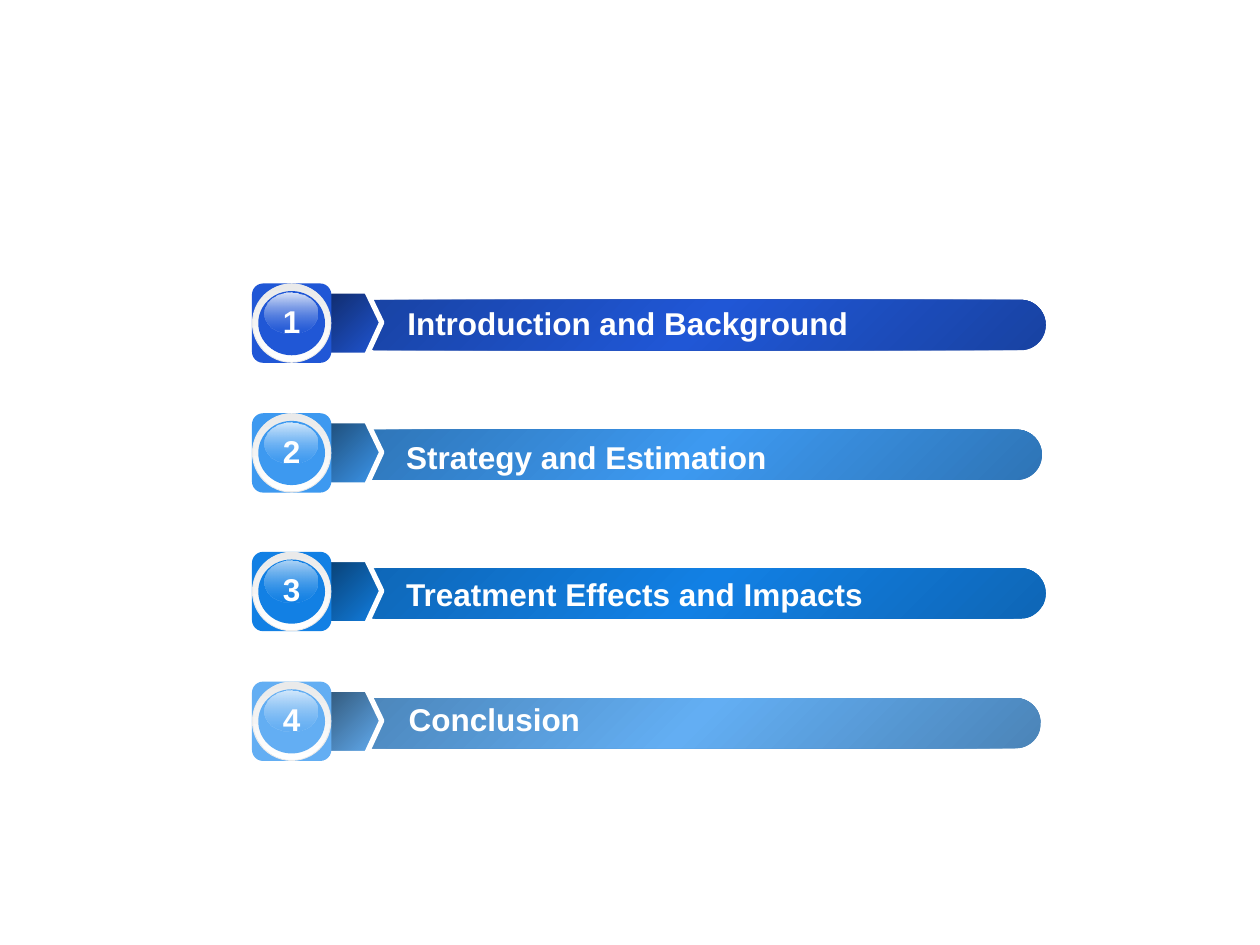
from dataclasses import dataclass

from lxml.etree import SubElement
from pptx import Presentation
from pptx.dml.color import RGBColor
from pptx.enum.shapes import MSO_SHAPE
from pptx.enum.text import MSO_ANCHOR, PP_ALIGN
from pptx.oxml.ns import qn
from pptx.util import Inches, Pt


@dataclass(frozen=True)
class Theme:
    font: str = "Arial"
    size: int = 18
    edge: int = 3
    white: str = "FFFFFF"
    ring: str = "EAEAEA"


@dataclass(frozen=True)
class Tone:
    main: str
    shade: str
    deep: str
    gloss: str


@dataclass(frozen=True)
class Item:
    text: str
    tone: Tone
    top: float      # row of the badge
    bar: float      # column where the bar starts
    label: tuple    # column, row below the badge top, width


ITEMS = [
    Item("Introduction and Background",
         Tone("2057D6", "1842A2", "0F2863", "DFE7F9"), 2.25, 2.79, (3.11, 0.06, 3.54)),
    Item("Strategy and Estimation",
         Tone("3D99F0", "2E74B6", "1C476F", "D8EBFC"), 3.28, 2.76, (3.1, 0.09, 3.06)),
    Item("Treatment Effects and Impacts",
         Tone("1280E4", "0E66B6", "083B6A", "B0D5F6"), 4.38, 2.79, (3.1, 0.08, 3.39)),
    Item("Conclusion",
         Tone("63AEF3", "4B84B8", "2E5170", "D5E9FC"), 5.41, 2.75, (3.12, 0.04, 3.39)),
]


class Deck:
    """Draws on a grid of 10 columns, with rows as tall as columns are wide."""

    def __init__(self, theme):
        self.theme = theme
        self.file = Presentation()
        self.file.slide_width, self.file.slide_height = Inches(10), Inches(7.5)
        self.unit = self.file.slide_width / 10
        self.slide = self.file.slides.add_slide(self.file.slide_layouts[6])

    def grid(self, *cells):
        return [round(cell * self.unit) for cell in cells]

    def blend(self, shape, stops, angle):
        """Fill with a linear gradient; a stop is (percent, colour, opacity)."""
        shape.fill.gradient()
        shape.fill.gradient_angle = 360 - angle
        ramp = shape._element.spPr.find(qn("a:gradFill")).find(qn("a:gsLst"))
        for old in list(ramp):
            ramp.remove(old)
        for place, color, alpha in stops:
            stop = SubElement(ramp, qn("a:gs"), pos=str(place * 1000))
            tint = SubElement(stop, qn("a:srgbClr"), val=color)
            if alpha < 100:
                SubElement(tint, qn("a:alpha"), val=str(alpha * 1000))

    def shape(self, kind, box, fill=None, stops=None, angle=90, round_by=None):
        shape = self.slide.shapes.add_shape(kind, *self.grid(*box))
        shape.shadow.inherit = False
        shape.line.fill.background()
        if round_by is not None:
            shape.adjustments[0] = round_by
        if stops:
            self.blend(shape, stops, angle)
        elif fill:
            shape.fill.solid()
            shape.fill.fore_color.rgb = RGBColor.from_string(fill)
        else:
            shape.fill.background()
        return shape

    def text(self, words, box, align=PP_ALIGN.LEFT):
        frame = self.shape(MSO_SHAPE.ROUNDED_RECTANGLE, box).text_frame
        frame.word_wrap = False
        frame.vertical_anchor = MSO_ANCHOR.MIDDLE
        para = frame.paragraphs[0]
        para.text, para.alignment = words, align
        font = para.font
        font.name, font.size, font.bold = self.theme.font, Pt(self.theme.size), True
        font.color.rgb = RGBColor.from_string(self.theme.white)

    def arrow(self, left, top, tone):
        dots = [(0, 0), (0.38, 0), (0.5, 0.25), (0.38, 0.51), (0, 0.51)]
        dots = [self.grid(left + x, top + y) for x, y in dots]
        path = self.slide.shapes.build_freeform(*dots[0])
        path.add_line_segments(dots[1:], close=True)
        shape = path.convert_to_shape()
        shape.shadow.inherit = False
        self.blend(shape, [(0, tone.deep, 100), (100, tone.main, 100)], 45)
        shape.line.color.rgb = RGBColor.from_string(self.theme.white)
        shape.line.width = Pt(self.theme.edge)

    def bar(self, left, top, tone):
        stops = [(0, tone.shade, 100), (50, tone.main, 100), (100, tone.shade, 100)]
        self.shape(MSO_SHAPE.ROUNDED_RECTANGLE, (left, top, 5.51, 0.4),
                   stops=stops, angle=45, round_by=0.5)

    def badge(self, number, left, top, tone):
        oval, ring = MSO_SHAPE.OVAL, self.theme.ring
        side = (left, top, 0.63, 0.63)
        self.shape(MSO_SHAPE.ROUNDED_RECTANGLE, side, tone.main, round_by=0.14)
        self.shape(oval, side, ring)
        self.shape(oval, (left + 0.01, top, 0.61, 0.62),
                   stops=[(0, ring, 100), (100, self.theme.white, 100)])
        self.shape(oval, (left + 0.05, top + 0.06, 0.53, 0.51), tone.main)
        self.shape(oval, (left + 0.1, top + 0.07, 0.42, 0.33),
                   stops=[(0, tone.gloss, 100), (100, tone.main, 37)])
        self.text(str(number), (left, top, 0.63, 0.59), PP_ALIGN.CENTER)

    def entry(self, number, item):
        self.bar(item.bar, item.top + 0.13, item.tone)
        self.arrow(2.53, item.top + 0.06, item.tone)
        left, drop, width = item.label
        self.text(item.text, (left, item.top + drop, width, 0.51))
        self.badge(number, 2, item.top, item.tone)


def main():
    deck = Deck(Theme())
    for number, item in enumerate(ITEMS, 1):
        deck.entry(number, item)
    deck.file.save("out.pptx")


if __name__ == "__main__":
    main()
